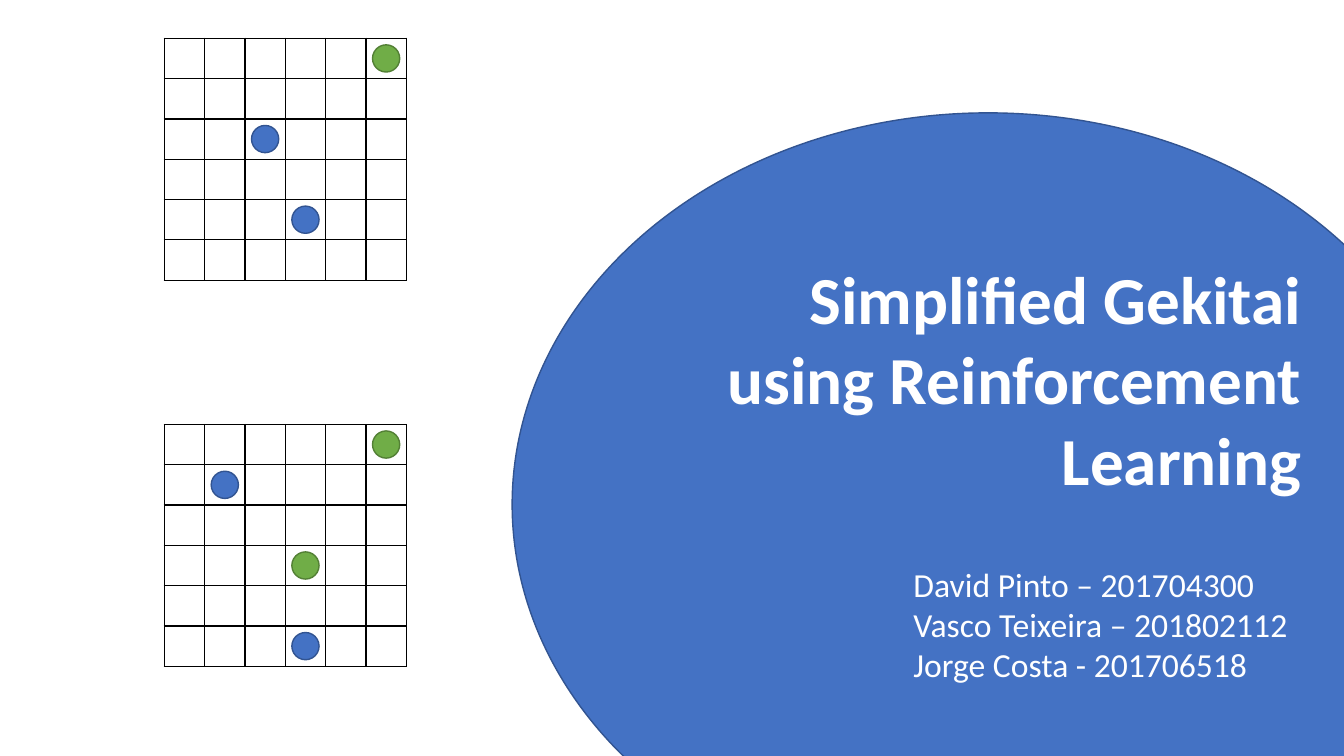
"""Build the title slide with two Gekitai boards beside a large ellipse."""
import pptx
import pptx.util
import pptx.dml.color
import pptx.enum.shapes
import pptx.enum.text
import pptx.oxml
import pptx.oxml.ns

BLUE = pptx.dml.color.RGBColor(0x44, 0x72, 0xC4)
DARK_BLUE = pptx.dml.color.RGBColor(0x32, 0x54, 0x91)
GREEN = pptx.dml.color.RGBColor(0x70, 0xAD, 0x47)
DARK_GREEN = pptx.dml.color.RGBColor(0x53, 0x80, 0x35)
WHITE = pptx.dml.color.RGBColor(0xFF, 0xFF, 0xFF)

N, CELL, DISC = 6, 0.4, 0.27
BOARD_LEFT = 1.63
BOARDS = [
    (0.38, [(2, 2, "blue"), (3, 4, "blue"), (5, 0, "green")]),
    (4.21, [(5, 0, "green"), (3, 5, "blue"), (1, 1, "blue"), (3, 3, "green")]),
]
PLAYERS = {"blue": (BLUE, DARK_BLUE), "green": (GREEN, DARK_GREEN)}

prs = pptx.Presentation()
prs.slide_width = pptx.util.Inches(13.33)
prs.slide_height = pptx.util.Inches(7.5)
s = prs.slides.add_slide(prs.slide_layouts[0])


def add_ellipse(left, top, width, height, player):
    fill, line = PLAYERS[player]
    sp = s.shapes.add_shape(pptx.enum.shapes.MSO_SHAPE.OVAL,
                            *map(pptx.util.Inches, (left, top, width, height)))
    sp.shadow.inherit = False
    sp.fill.solid()
    sp.fill.fore_color.rgb = fill
    sp.line.color.rgb = line
    sp.line.width = pptx.util.Pt(1)
    return sp


def fill_placeholder(sp, box, text, size, bold, align, anchor):
    sp.left, sp.top, sp.width, sp.height = map(pptx.util.Inches, box)
    tf = sp.text_frame
    tf.text = text
    tf.word_wrap = True
    tf.auto_size = pptx.enum.text.MSO_AUTO_SIZE.NONE
    tf.vertical_anchor = anchor
    for p in tf.paragraphs:
        p.alignment = align
        p.space_before = pptx.util.Pt(0)
        for r in p.runs:
            r.font.name = "Calibri"
            r.font.size = pptx.util.Pt(size)
            r.font.bold = bold
            r.font.color.rgb = WHITE


backdrop = add_ellipse(5.08, 1.12, 9.44, 7.77, "blue")
s.shapes.title._element.addprevious(backdrop._element)

fill_placeholder(s.shapes.title, (6.6, 2.09, 6.41, 3.32),
                 "Simplified Gekitai using Reinforcement Learning", 48, True,
                 pptx.enum.text.PP_ALIGN.RIGHT, pptx.enum.text.MSO_ANCHOR.MIDDLE)
fill_placeholder(s.placeholders[1], (8.96, 5.54, 4.05, 1.31),
                 "David Pinto – 201704300\nVasco Teixeira – 201802112\nJorge Costa - 201706518",
                 24, False, pptx.enum.text.PP_ALIGN.LEFT, pptx.enum.text.MSO_ANCHOR.TOP)

for board_top, discs in BOARDS:
    side = pptx.util.Inches(N * CELL)
    table = s.shapes.add_table(N, N, pptx.util.Inches(BOARD_LEFT),
                               pptx.util.Inches(board_top), side, side).table
    table.first_row = table.horz_banding = False
    for cell in table.iter_cells():
        cell.margin_top = cell.margin_bottom = 0
        tcPr = cell._tc.get_or_add_tcPr()
        for edge in ("lnL", "lnR", "lnT", "lnB"):
            tcPr.append(pptx.oxml.parse_xml(
                f'<a:{edge} {pptx.oxml.ns.nsdecls("a")} w="12700"><a:solidFill>'
                f'<a:srgbClr val="000000"/></a:solidFill></a:{edge}>'))
        cell.fill.background()
    for col, row, player in discs:
        inset = (CELL - DISC) / 2
        add_ellipse(BOARD_LEFT + col * CELL + inset, board_top + row * CELL + inset,
                    DISC, DISC, player)

prs.save("out.pptx")
